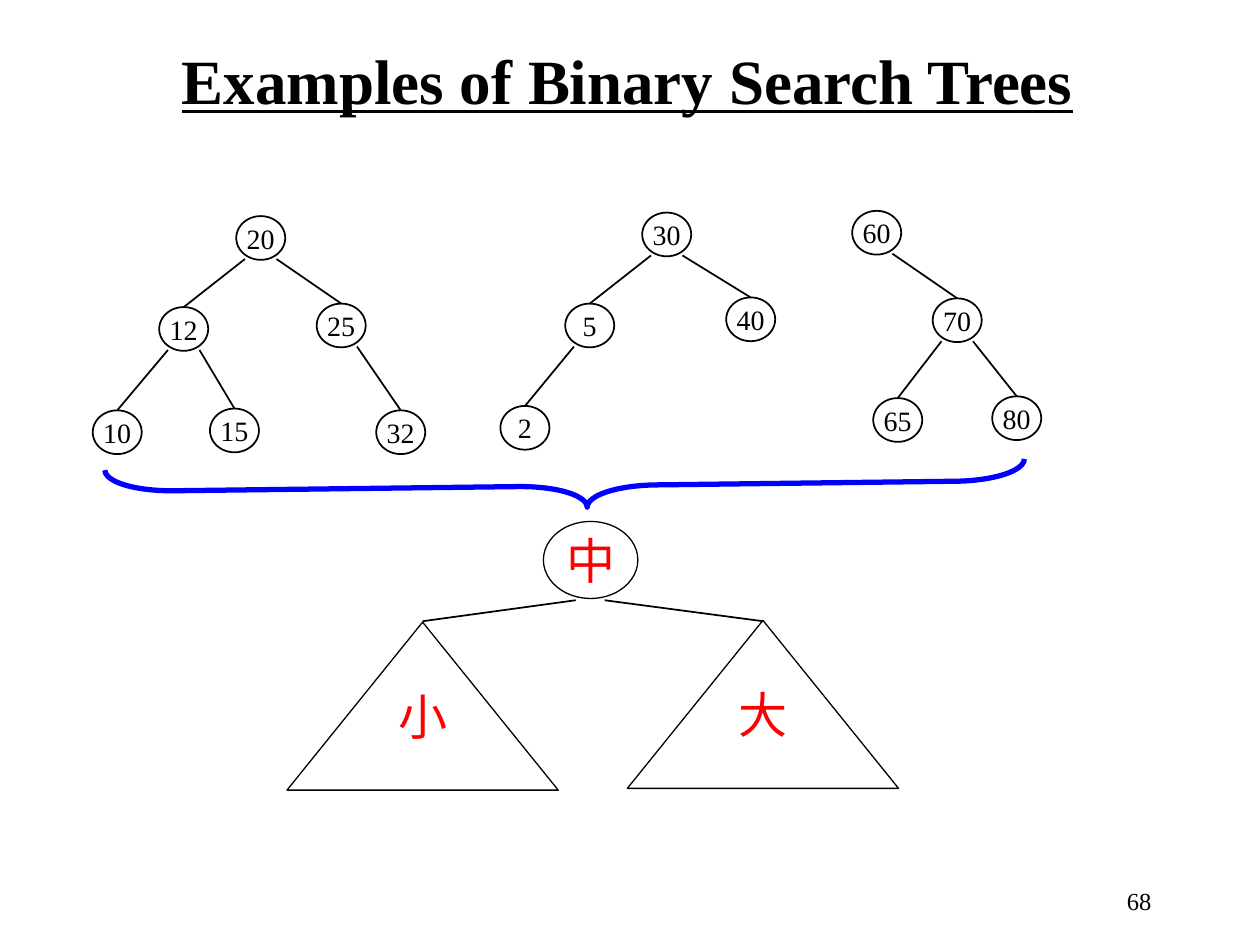
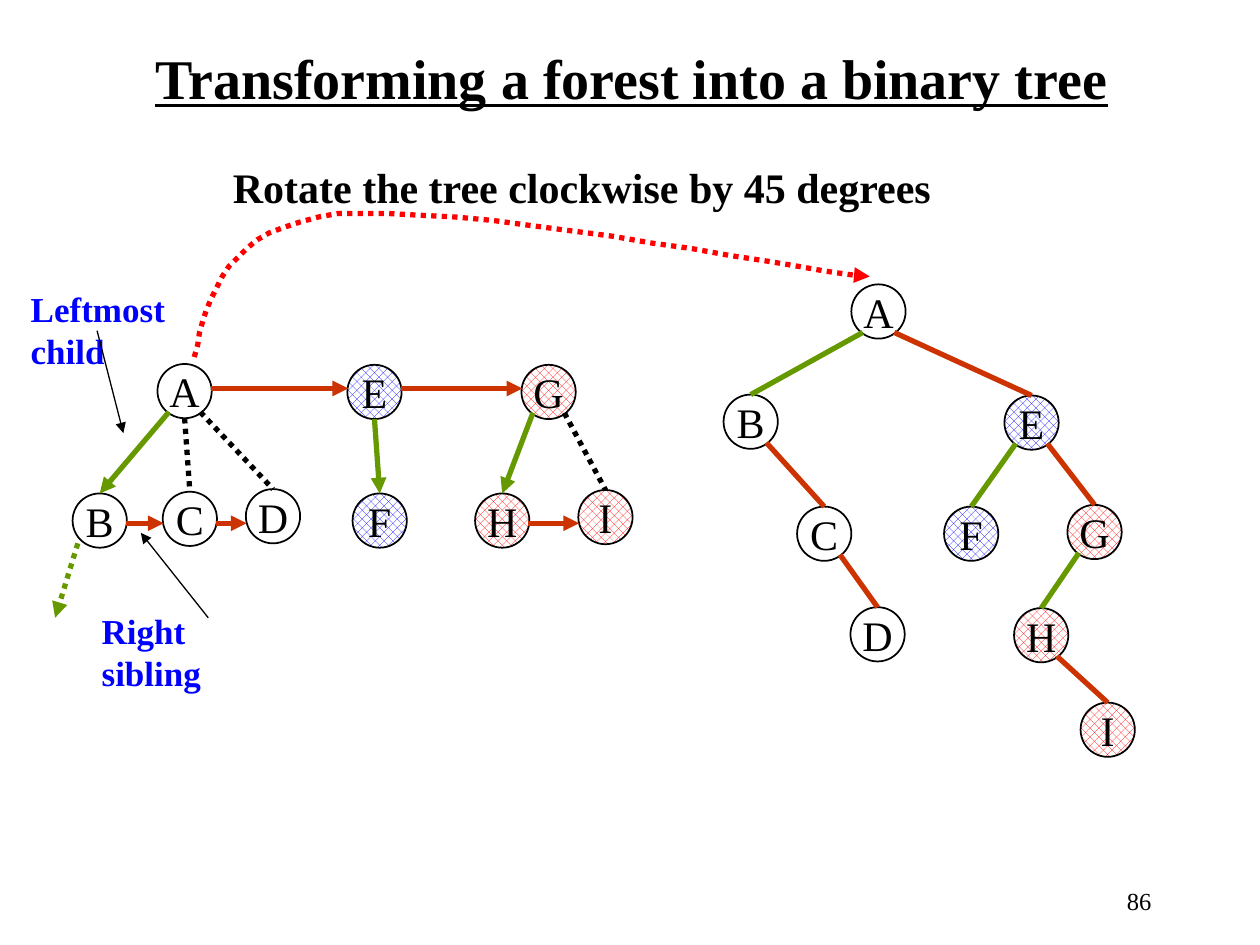
from pptx import Presentation
from pptx import util as u
from pptx.dml.color import RGBColor
from pptx.enum import dml, shapes, text
from pptx.oxml.ns import qn
from lxml import etree

# Shared style
FONT = "Times New Roman"
BLACK, WHITE, RED, BLUE = "000000", "FFFFFF", "FF0000", "0000FF"
CHILD, SIBLING = "669900", "CC3300"
TITLE_ONLY = 5

# Node centres in points
NUMBER_TREES = [
    ({"20": (149, 136), "12": (105, 188), "25": (195, 186),
      "10": (67, 247), "15": (134, 246), "32": (229, 247)},
     [("20", "12"), ("20", "25"), ("12", "10"), ("12", "15"), ("25", "32")]),
    ({"30": (381, 134), "5": (337, 186), "40": (429, 182.5), "2": (300, 244.5)},
     [("30", "5"), ("30", "40"), ("5", "2")]),
    ({"60": (501, 133), "70": (547, 183), "65": (513, 240), "80": (581, 239)},
     [("60", "70"), ("70", "65"), ("70", "80")]),
]
FOREST = {"A": (105.5, 223.5), "B": (57, 297.5), "C": (108.5, 296.5),
          "D": (156, 295), "E": (214, 224), "F": (217, 297.5),
          "G": (313.5, 224), "H": (287, 297.5), "I": (346, 295.5)}
BINARY_TREE = {"A": (502, 178), "B": (429, 241), "C": (471, 305),
               "D": (501.5, 362.5), "E": (589.5, 241.5), "F": (555, 305),
               "G": (625.5, 304), "H": (595, 363), "I": (633, 417)}
PATTERNS = {**dict.fromkeys("EF", BLUE), **dict.fromkeys("GHI", RED)}


def colour(value):
    return RGBColor.from_string(value)


def write(shape, content, size, ink=BLACK, bold=False, align="CENTER", wrap=False):
    frame = shape.text_frame
    frame.text = content
    frame.word_wrap = wrap
    para = frame.paragraphs[0]
    para.alignment = getattr(text.PP_ALIGN, align)
    span = para.runs[0]
    span.font.name = FONT
    span.font.size = u.Pt(size)
    span.font.bold = bold
    span.font.color.rgb = colour(ink)
    return span


def add_text(slide, box, content, size, **style):
    label = slide.shapes.add_textbox(*map(u.Pt, box))
    write(label, content, size, **style)
    return label


def new_slide(deck, title, title_box, size, number):
    slide = deck.slides.add_slide(deck.slide_layouts[TITLE_ONLY])
    heading = slide.shapes.title
    heading.left, heading.top, heading.width, heading.height = map(u.Pt, title_box)
    span = write(heading, title, size, bold=True)
    span.font.underline = True
    heading.text_frame.auto_size = text.MSO_AUTO_SIZE.NONE
    heading.text_frame.vertical_anchor = text.MSO_ANCHOR.TOP
    add_text(slide, (515, 502.5, 150, 36), number, 14, align="RIGHT", wrap=True)
    return slide


def add_outline(slide, kind, box, ink=BLACK, width=1):
    shape = slide.shapes.add_shape(getattr(shapes.MSO_SHAPE, kind), *map(u.Pt, box))
    shape.shadow.inherit = False
    shape.fill.background()
    shape.line.color.rgb = colour(ink)
    shape.line.width = u.Pt(width)
    return shape


def add_node(slide, centre, size, content, font_size, ink=BLACK, pattern=None, width=1):
    x, y = centre
    w, h = size
    node = add_outline(slide, "OVAL", (x - w / 2, y - h / 2, w, h), width=width)
    if pattern:
        node.fill.patterned()
        node.fill.pattern = dml.MSO_PATTERN.PERCENT_50
        node.fill.fore_color.rgb = colour(pattern)
        node.fill.back_color.rgb = colour(WHITE)
    frame = node.text_frame
    frame.margin_left = frame.margin_right = frame.margin_top = frame.margin_bottom = 0
    frame.vertical_anchor = text.MSO_ANCHOR.MIDDLE
    write(node, content, font_size, ink)


def style_line(line, ink, width, dotted, arrow):
    line.color.rgb = colour(ink)
    line.width = u.Pt(width)
    if dotted:
        line.dash_style = dml.MSO_LINE.ROUND_DOT
    if arrow:
        etree.SubElement(line._get_or_add_ln(), qn("a:tailEnd"), type="triangle")


def add_line(slide, start, end, ink=BLACK, width=1.0, dotted=False, arrow=False):
    connector = slide.shapes.add_connector(
        shapes.MSO_CONNECTOR.STRAIGHT, *map(u.Pt, (*start, *end)))
    style_line(connector.line, ink, width, dotted, arrow)
    etree.SubElement(connector._element.spPr, qn("a:effectLst"))


def add_edge(slide, parent, child, radius, **style):
    """Join the lower side of a parent node to the top of its child."""
    (px, py), (cx, cy) = parent, child
    if abs(cx - px) < 4:
        start = (px, py + radius)
    else:
        start = (px + (9 if cx > px else -9), py + 12)
    add_line(slide, start, (cx, cy - radius), **style)


def add_sibling_arrow(slide, left, right, y):
    add_line(slide, (left[0] + 15, y), (right[0] - 15, y), SIBLING, 3, arrow=True)


def bezier(p0, p1, p2, p3, steps=16):
    for step in range(1, steps + 1):
        t = step / steps
        yield tuple((1 - t) ** 3 * a + 3 * t * (1 - t) ** 2 * b
                    + 3 * t * t * (1 - t) * c + t ** 3 * d
                    for a, b, c, d in zip(p0, p1, p2, p3))


def add_rotation_curve(slide):
    start, crest, end = (111, 204), (193, 122.5), (497, 158.5)
    points = [*bezier(start, (119.5, 167), (129, 130), crest),
              *bezier(crest, (257, 115), (446, 152.5), end)]
    builder = slide.shapes.build_freeform(*start, scale=u.Pt(1))
    builder.add_line_segments(points, close=False)
    curve = builder.convert_to_shape()
    curve.shadow.inherit = False
    curve.fill.background()
    style_line(curve.line, RED, 3, dotted=True, arrow=True)


def build_search_trees(deck):
    slide = new_slide(deck, "Examples of Binary Search Trees",
                      (94, 20, 529, 50), 36, "68")
    for nodes, edges in NUMBER_TREES:
        for name, centre in nodes.items():
            add_node(slide, centre, (28, 25), name, 16)
        for parent, child in edges:
            add_edge(slide, nodes[parent], nodes[child], 12.5)

    # Brace that gathers the trees into one rule
    brace = add_outline(slide, "RIGHT_BRACE", (310.5, 15, 24.5, 525.5), BLUE, 3)
    brace.rotation = 89.3
    brace.adjustments[0], brace.adjustments[1] = 1.606, 0.476

    # Small, middle, large
    add_node(slide, (337.5, 320), (54, 44), "中", 28, RED, width=0.75)
    for content, start_x, apex_x, top in (("小", 329, 241.5, 355.5), ("大", 345.5, 436, 354.5)):
        add_line(slide, (start_x, 343), (apex_x, 355))
        add_outline(slide, "ISOSCELES_TRIANGLE", (apex_x - 77.5, top, 155, 96), width=0.75)
        add_text(slide, (apex_x - 21, top + 33, 42, 41), content, 28, ink=RED)


def build_forest(deck):
    slide = new_slide(deck, "Transforming a forest into a binary tree",
                      (80, 21, 562, 45), 32, "86")
    for nodes in (FOREST, BINARY_TREE):
        for name, centre in nodes.items():
            add_node(slide, centre, (31, 31), name, 24, pattern=PATTERNS.get(name))

    # Forest: first children, other children, siblings
    for parent, child in ("AB", "EF", "GH"):
        add_edge(slide, FOREST[parent], FOREST[child], 15.5, ink=CHILD, width=3, arrow=True)
    for parent, child in ("AC", "AD", "GI"):
        add_edge(slide, FOREST[parent], FOREST[child], 15.5, width=3, dotted=True)
    for y, pairs in ((222, ("AE", "EG")), (299, ("BC", "CD", "HI"))):
        for left, right in pairs:
            add_sibling_arrow(slide, FOREST[left], FOREST[right], y)
    add_line(slide, (44.5, 310.5), (31.5, 353), CHILD, 3, dotted=True, arrow=True)

    # Binary tree: left links are children, right links are siblings
    for ink, pairs in ((CHILD, ("AB", "EF", "GH")),
                       (SIBLING, ("AE", "BC", "CD", "EG", "HI"))):
        for parent, child in pairs:
            add_edge(slide, BINARY_TREE[parent], BINARY_TREE[child], 15.5, ink=ink, width=3)

    # Rotation and notes
    add_rotation_curve(slide)
    add_text(slide, (126, 88.5, 414, 36), "Rotate the tree clockwise by 45 degrees",
             24, bold=True, align="LEFT")
    for content, box, start, end in (
            ("Leftmost child", (10.5, 161, 122, 31), (55.5, 189), (70.5, 247.5)),
            ("Right sibling", (51, 345, 115, 31), (119, 353), (80.5, 304.5))):
        add_text(slide, box, content, 20, ink=BLUE, bold=True, align="LEFT", wrap=True)
        add_line(slide, start, end, width=0.75, arrow=True)


def main():
    deck = Presentation()
    deck.slide_width, deck.slide_height = u.Pt(720), u.Pt(540)
    build_search_trees(deck)
    build_forest(deck)
    deck.save("out.pptx")


if __name__ == "__main__":
    main()
